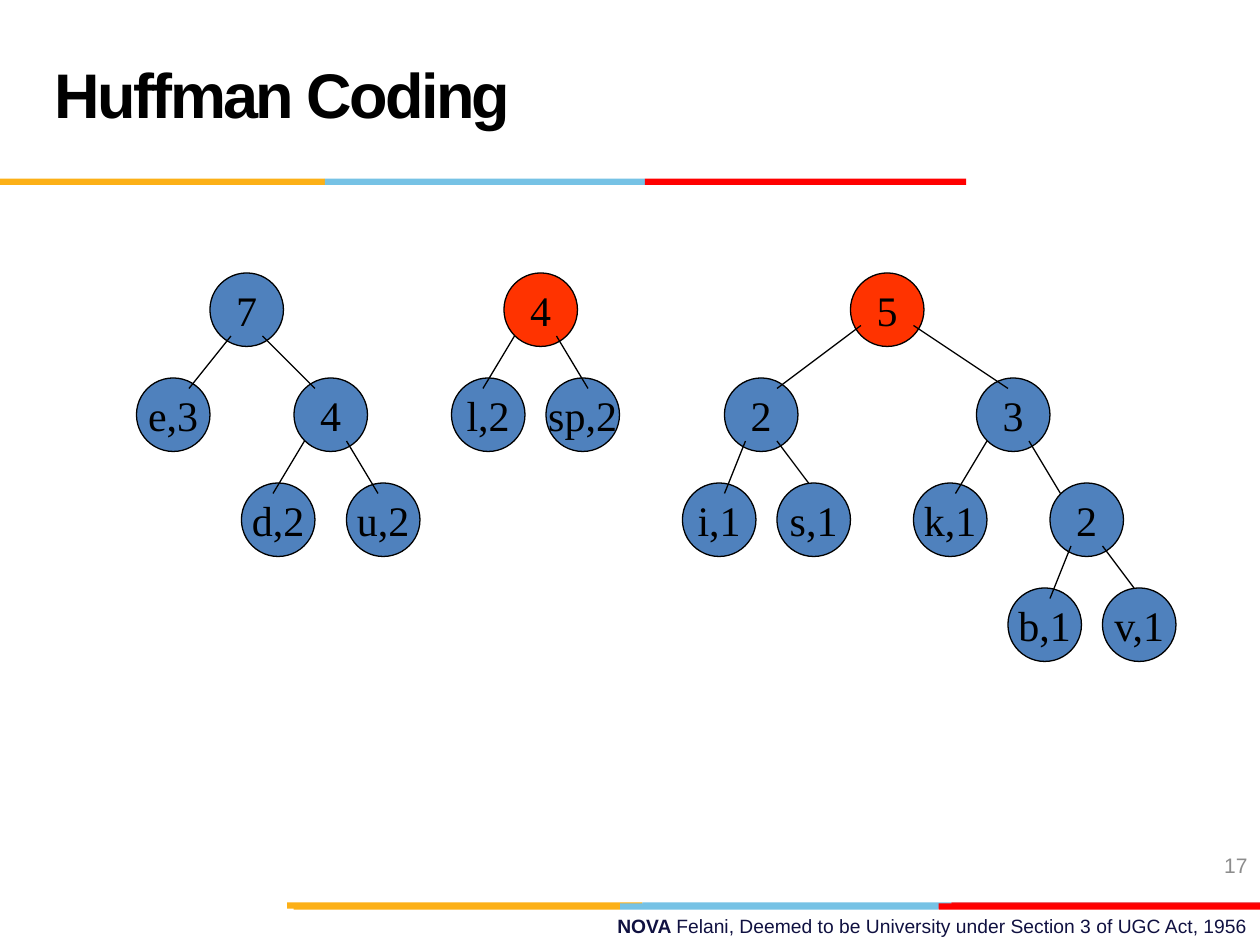
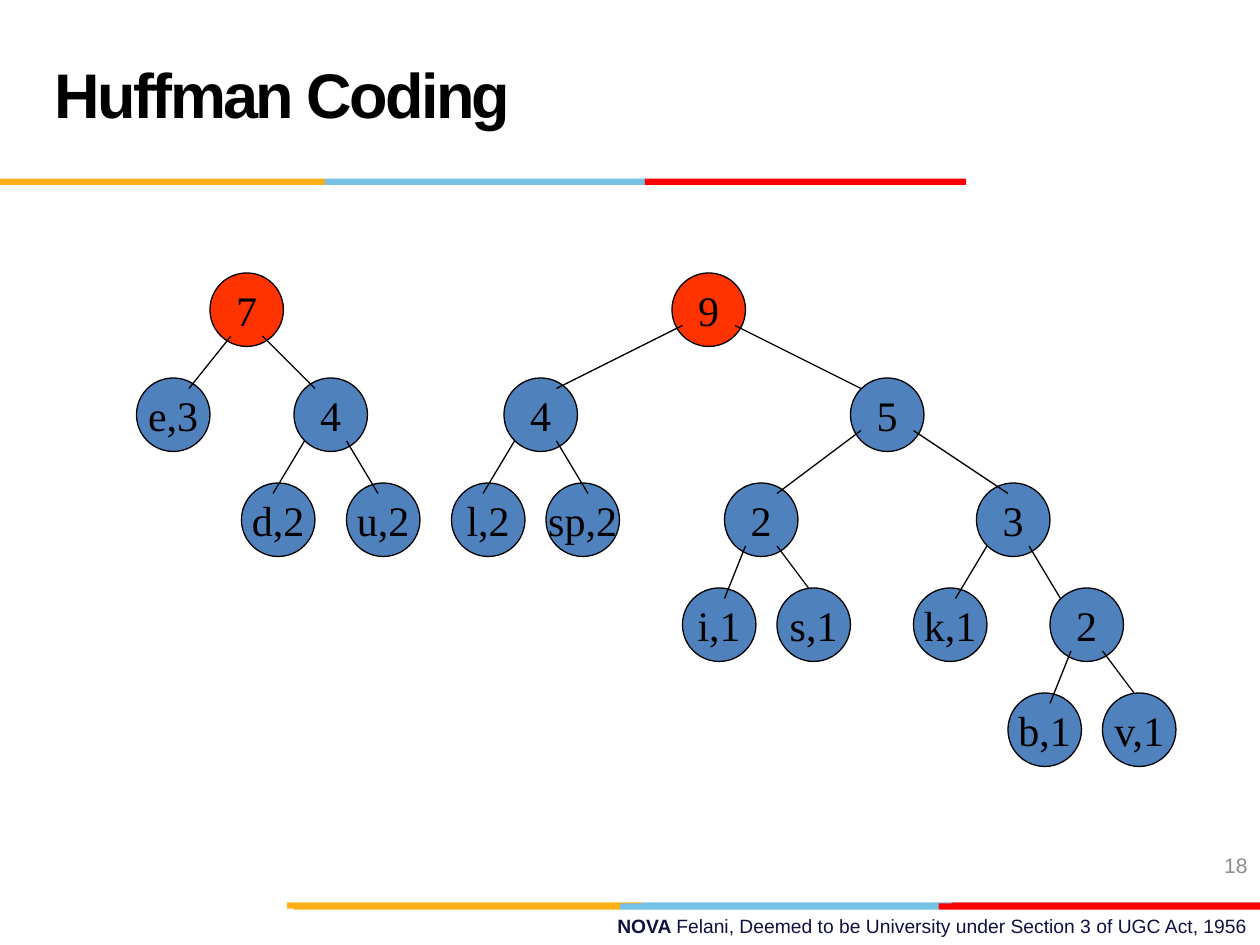
from dataclasses import dataclass

from lxml import etree
from pptx import Presentation
from pptx.dml.color import RGBColor
from pptx.enum import shapes, text
from pptx.oxml import ns
from pptx import util as u

BLACK = RGBColor(0x00, 0x00, 0x00)
NODE_BLUE = RGBColor(0x4F, 0x81, 0xBD)
MERGE_RED = RGBColor(0xFF, 0x33, 0x00)
ORANGE = RGBColor(0xFC, 0xB0, 0x17)
SKY = RGBColor(0x76, 0xC2, 0xE5)
RED = RGBColor(0xFF, 0x00, 0x00)
CRIMSON = RGBColor(0xE3, 0x1C, 0x24)
NAVY = RGBColor(0x10, 0x11, 0x41)
GREY = RGBColor(0x8C, 0x8C, 0x8C)

TITLE = "Huffman Coding"
FOOTER_NAME = "NOVA "
FOOTER_REST = "Felani, Deemed to be University under Section 3 of UGC Act, 1956"

GRID = 2.54 / 12
NODE_SIZE = 7
ROOT_TOP = 26
LEVEL_STEP = 10


@dataclass(frozen=True)
class Band:
    top: float
    edges: tuple[float, ...]
    last_color: RGBColor


@dataclass(frozen=True)
class Branch:
    child: "Node"
    start: tuple[int, int]
    end: tuple[int, int]


@dataclass(frozen=True)
class Node:
    label: str
    left: int
    branches: tuple[Branch, ...] = ()


@dataclass(frozen=True)
class Step:
    number: int
    trees: tuple[Node, ...]
    merging: tuple[Node, ...]


BANDS = (
    Band(18.19, (5.79, 12.95, 19.18, 25.4), CRIMSON),
    Band(18.21, (5.92, 12.5, 18.92, 25.4), RED),
    Band(3.6, (0, 6.55, 13, 19.48), RED),
)

PAIR_DU = Node("4", 28, (
    Branch(Node("d,2", 23), (1, 6), (3, 1)),
    Branch(Node("u,2", 33), (5, 6), (3, 1)),
))
SEVEN = Node("7", 20, (
    Branch(Node("e,3", 13), (2, 6), (5, 1)),
    Branch(PAIR_DU, (5, 6), (2, 1)),
))
FOUR = Node("4", 48, (
    Branch(Node("l,2", 43), (1, 6), (3, 1)),
    Branch(Node("sp,2", 52), (5, 6), (4, 1)),
))
PAIR_IS = Node("2", 69, (
    Branch(Node("i,1", 65), (2, 6), (4, 1)),
    Branch(Node("s,1", 74), (5, 6), (3, 0)),
))
PAIR_BV = Node("2", 100, (
    Branch(Node("b,1", 96), (2, 6), (4, 1)),
    Branch(Node("v,1", 105), (5, 6), (3, 0)),
))
THREE = Node("3", 93, (
    Branch(Node("k,1", 87), (1, 6), (4, 1)),
    Branch(PAIR_BV, (5, 6), (1, 1)),
))
FIVE = Node("5", 81, (
    Branch(PAIR_IS, (1, 5), (5, 1)),
    Branch(THREE, (6, 5), (3, 1)),
))
NINE = Node("9", 64, (
    Branch(FOUR, (1, 5), (5, 1)),
    Branch(FIVE, (6, 5), (1, 1)),
))

STEPS = (
    Step(17, (SEVEN, FOUR, FIVE), (FOUR, FIVE)),
    Step(18, (SEVEN, NINE), (SEVEN, NINE)),
)


def grid(units: int) -> u.Length:
    return u.Cm(units * GRID)


def set_font(font, name: str, size: float, color: RGBColor, bold: bool = False) -> None:
    font.name = name
    font.size = u.Pt(size)
    font.bold = bold
    font.color.rgb = color


def draw_band(page, band: Band) -> None:
    colors = (ORANGE, SKY, band.last_color)
    for left, right, color in zip(band.edges, band.edges[1:], colors):
        bar = page.shapes.add_shape(
            shapes.MSO_SHAPE.RECTANGLE,
            u.Cm(left), u.Cm(band.top), u.Cm(right - left), u.Cm(0.13))
        bar.shadow.inherit = False
        bar.fill.solid()
        bar.fill.fore_color.rgb = color
        bar.line.fill.background()


def add_right_text(page, left: float, top: float, width: float, height: float):
    box = page.shapes.add_textbox(u.Cm(left), u.Cm(top), u.Cm(width), u.Cm(height))
    box.text_frame.word_wrap = True
    para = box.text_frame.paragraphs[0]
    para.alignment = text.PP_ALIGN.RIGHT
    return box, para


def draw_footer(page, number: int) -> None:
    _, para = add_right_text(page, 9.1, 18.31, 16.3, 0.74)
    for wording, bold in ((FOOTER_NAME, True), (FOOTER_REST, False)):
        span = para.add_run()
        span.text = wording
        set_font(span.font, "Arial", 11, NAVY, bold)
    box, para = add_right_text(page, 19.48, 16.93, 5.92, 1.01)
    box.text_frame.vertical_anchor = text.MSO_ANCHOR.MIDDLE
    para.text = str(number)
    set_font(para.font, "Arial", 12, GREY)


def draw_title(page) -> None:
    title = page.shapes.title
    title.left, title.top = u.Cm(0.85), u.Cm(0.42)
    title.width, title.height = u.Cm(17.57), u.Cm(3.18)
    frame = title.text_frame
    frame.text = TITLE
    frame.auto_size = text.MSO_AUTO_SIZE.NONE
    frame.vertical_anchor = text.MSO_ANCHOR.MIDDLE
    para = frame.paragraphs[0]
    para.alignment = text.PP_ALIGN.LEFT
    para.line_spacing = u.Pt(36)
    set_font(para.font, "Arial", 36, BLACK, True)
    para._p.pPr.find(ns.qn("a:defRPr")).set("spc", "-150")


def draw_circle(page, node: Node, top: int, color: RGBColor) -> None:
    circle = page.shapes.add_shape(
        shapes.MSO_SHAPE.OVAL,
        grid(node.left), grid(top), grid(NODE_SIZE), grid(NODE_SIZE))
    circle.shadow.inherit = False
    circle.fill.solid()
    circle.fill.fore_color.rgb = color
    circle.line.color.rgb = BLACK
    circle.line.width = u.Pt(0.75)
    frame = circle.text_frame
    frame.text = node.label
    frame.word_wrap = False
    frame.vertical_anchor = text.MSO_ANCHOR.MIDDLE
    para = frame.paragraphs[0]
    para.alignment = text.PP_ALIGN.CENTER
    set_font(para.font, "Times New Roman", 24, BLACK)


def draw_branch(page, parent: Node, top: int, branch: Branch) -> None:
    line = page.shapes.add_connector(
        shapes.MSO_CONNECTOR.STRAIGHT,
        grid(parent.left + branch.start[0]),
        grid(top + branch.start[1]),
        grid(branch.child.left + branch.end[0]),
        grid(top + LEVEL_STEP + branch.end[1]))
    line.line.color.rgb = BLACK
    line.line.width = u.Pt(0.75)
    etree.SubElement(line._element.spPr, ns.qn("a:effectLst"))


def draw_tree(page, node: Node, top: int, color: RGBColor) -> None:
    for branch in node.branches:
        draw_tree(page, branch.child, top + LEVEL_STEP, NODE_BLUE)
    draw_circle(page, node, top, color)
    for branch in node.branches:
        draw_branch(page, node, top, branch)


def build_page(deck, step: Step) -> None:
    page = deck.slides.add_slide(deck.slide_layouts.get_by_name("Title Only"))
    for band in BANDS:
        draw_band(page, band)
    draw_title(page)
    draw_footer(page, step.number)
    for tree in step.trees:
        draw_tree(page, tree, ROOT_TOP, MERGE_RED if tree in step.merging else NODE_BLUE)


def main() -> None:
    deck = Presentation()
    deck.slide_width, deck.slide_height = u.Cm(25.4), u.Cm(19.05)
    for step in STEPS:
        build_page(deck, step)
    deck.save("out.pptx")


if __name__ == "__main__":
    main()
